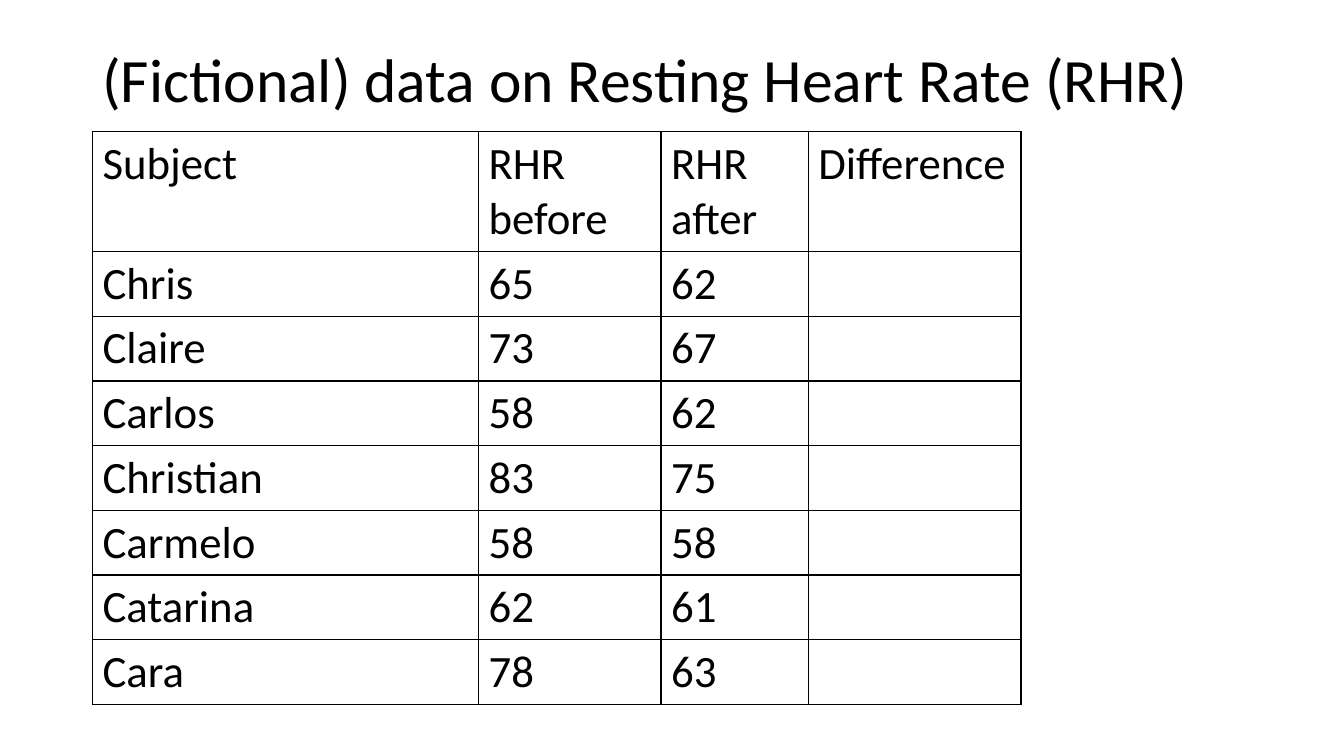
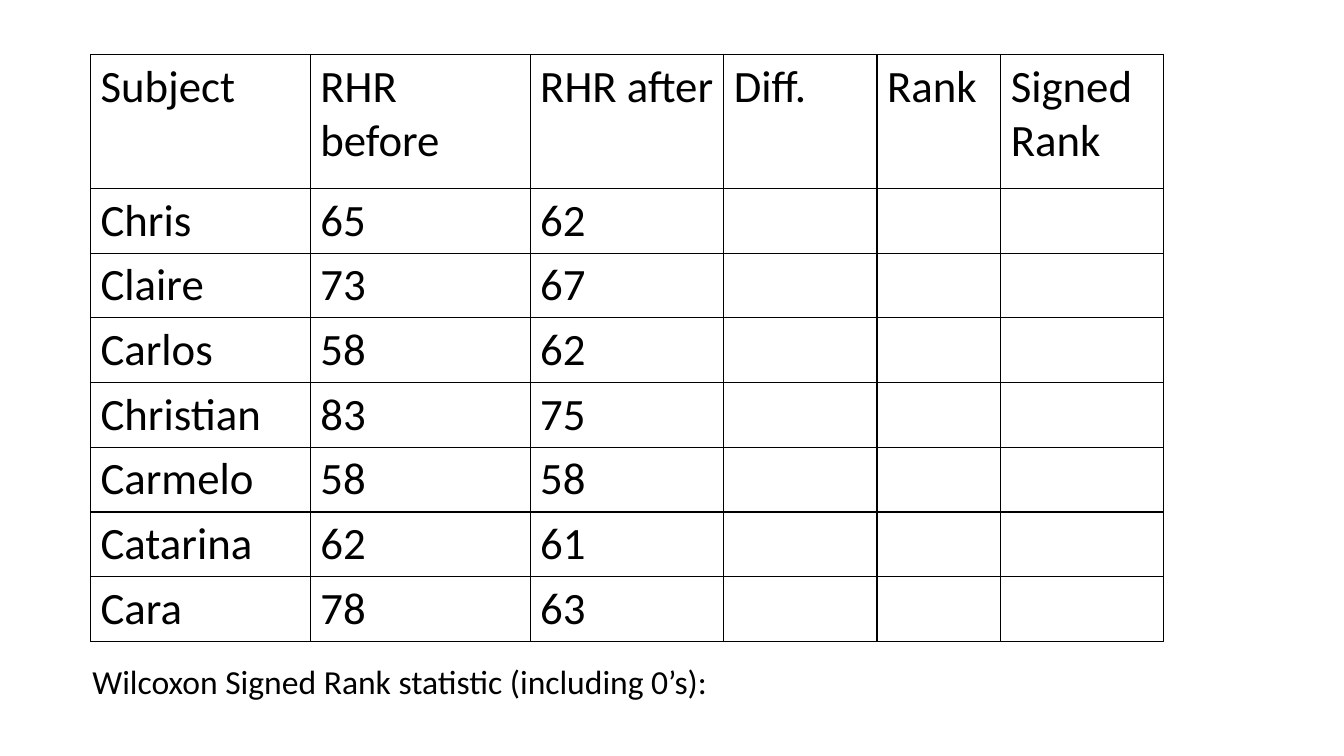
from lxml.etree import SubElement
from pptx import Presentation
from pptx.dml.color import RGBColor
from pptx.enum.text import MSO_ANCHOR, MSO_AUTO_SIZE
from pptx.oxml.ns import qn
from pptx.util import Cm, Pt

# Shared style and data
FONT = "Calibri"
BLACK = "000000"
BORDER_WIDTH = Pt(1)
ROW_HEIGHT = 1.63
HEART_RATES = [
    ("Chris", 65, 62),
    ("Claire", 73, 67),
    ("Carlos", 58, 62),
    ("Christian", 83, 75),
    ("Carmelo", 58, 58),
    ("Catarina", 62, 61),
    ("Cara", 78, 63),
]


def add_text(paragraph, text, size, color=BLACK):
    run = paragraph.add_run()
    run.text = text
    run.font.name = FONT
    run.font.size = Pt(size)
    run.font.color.rgb = RGBColor.from_string(color)


def add_rate_table(slide, left, top, headings, widths, header_height):
    row_count = len(HEART_RATES) + 1
    height = header_height + ROW_HEIGHT * len(HEART_RATES)
    frame = slide.shapes.add_table(row_count, len(headings), Cm(left), Cm(top),
                                   Cm(sum(widths)), Cm(height))
    table = frame.table
    table.first_row = False
    table.horz_banding = False
    for column, width in zip(table.columns, widths):
        column.width = Cm(width)
    for index, row in enumerate(table.rows):
        row.height = Cm(ROW_HEIGHT if index else header_height)

    # Black grid, no fill
    for cell in table.iter_cells():
        properties = cell._tc.get_or_add_tcPr()
        for side in ("lnL", "lnR", "lnT", "lnB"):
            line = SubElement(properties, qn(f"a:{side}"), w=str(BORDER_WIDTH))
            fill = SubElement(line, qn("a:solidFill"))
            SubElement(fill, qn("a:srgbClr"), val=BLACK)
        cell.fill.background()

    # Headings and readings; the remaining columns stay empty
    for row_index, values in enumerate([headings, *HEART_RATES]):
        for column_index, value in enumerate(values):
            cell = table.cell(row_index, column_index)
            add_text(cell.text_frame.paragraphs[0], str(value), 32)


presentation = Presentation()
presentation.slide_width = Cm(33.87)
presentation.slide_height = Cm(19.05)
blank_layout = presentation.slide_layouts[6]

# Slide 1: differences
slide = presentation.slides.add_slide(blank_layout)
title = slide.shapes.add_textbox(Cm(2.33), Cm(1.01), Cm(29.21), Cm(2.16))
title.text_frame.word_wrap = True
title.text_frame.vertical_anchor = MSO_ANCHOR.MIDDLE
paragraph = title.text_frame.paragraphs[0]
paragraph.line_spacing = 0.9
add_text(paragraph, "(Fictional) data on Resting Heart Rate (RHR)", 44)
add_rate_table(slide, 2.33, 3.32,
               ["Subject", "RHR before", "RHR after", "Difference"],
               [9.73, 4.6, 3.71, 5.36], 3.02)

# Slide 2: signed ranks
slide = presentation.slides.add_slide(blank_layout)
add_rate_table(slide, 2.28, 1.37,
               ["Subject", "RHR before", "RHR after", "Diff.", "Rank", "Signed Rank"],
               [5.54, 5.54, 4.88, 3.86, 3.12, 4.11], 3.38)
statistic = slide.shapes.add_textbox(Cm(2.08), Cm(16.54), Cm(25.07), Cm(1.27))
statistic.text_frame.word_wrap = True
statistic.text_frame.auto_size = MSO_AUTO_SIZE.SHAPE_TO_FIT_TEXT
add_text(statistic.text_frame.paragraphs[0],
         "Wilcoxon Signed Rank statistic (including 0’s):", 24)

presentation.save("out.pptx")
